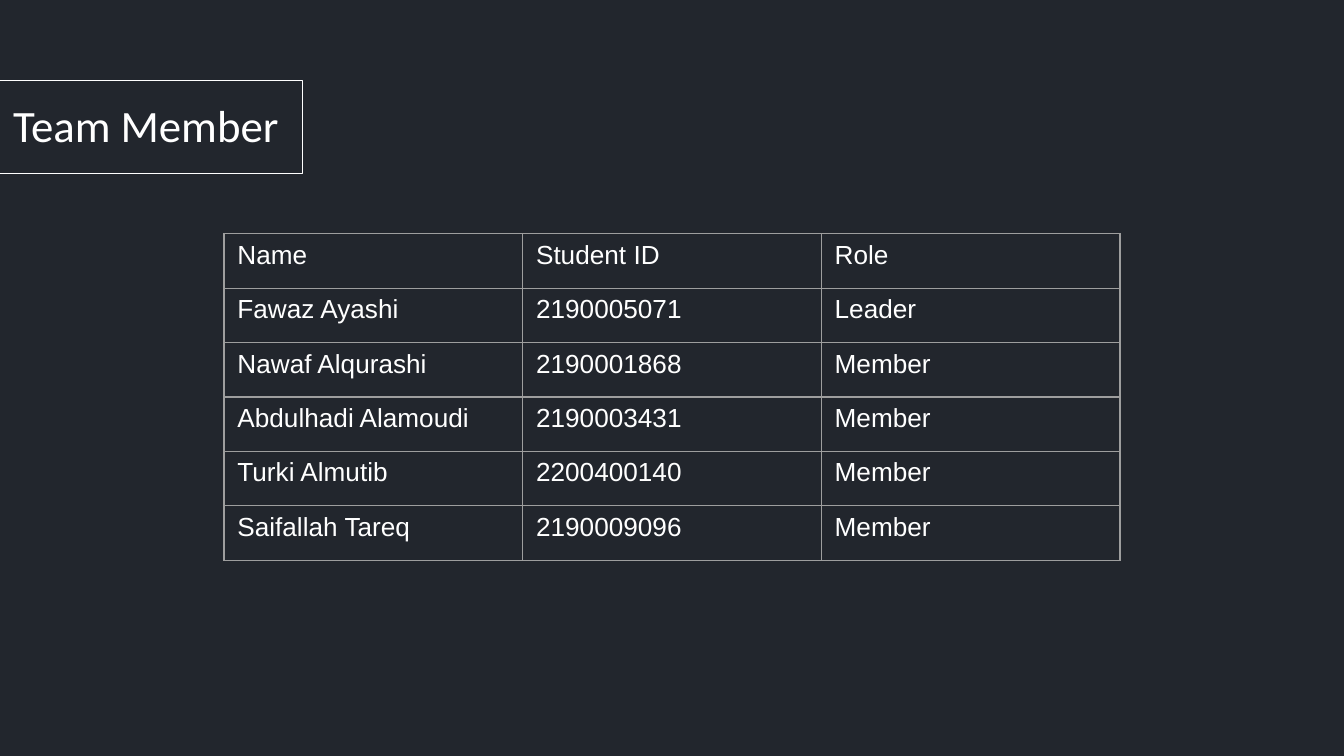
"""Build the Team Member slide with its title box and student table."""
from pptx import Presentation
from pptx.dml.color import RGBColor
from pptx.enum.shapes import MSO_SHAPE
from pptx.enum.text import MSO_ANCHOR
from pptx.oxml import parse_xml
from pptx.oxml.ns import nsdecls
from pptx.util import Inches, Pt


def rgb(color):
    return RGBColor.from_string(color)


def add_run(p, text, font, size):
    r = p.add_run()
    r.text = text
    r.font.name = font
    r.font.size = Pt(size)
    r.font.bold = False
    r.font.color.rgb = rgb("FFFFFF")


prs = Presentation()
prs.slide_width = Inches(10)
prs.slide_height = Inches(10 * 9 / 16)
s = prs.slides.add_slide(prs.slide_layouts[6])
s.background.fill.solid()
s.background.fill.fore_color.rgb = rgb("22262D")

sp = s.shapes.add_shape(MSO_SHAPE.RECTANGLE, Inches(-0.1), Inches(0.6), Inches(2.35), Inches(0.69))
sp.shadow.inherit = False
sp.fill.background()
sp.line.color.rgb = rgb("FFFFFF")
sp.line.width = Pt(0.75)

title = s.shapes.add_textbox(Inches(0), Inches(0.41), Inches(2.25), Inches(1.03))
tf = title.text_frame
tf.word_wrap = True
tf.vertical_anchor = MSO_ANCHOR.MIDDLE
tf.margin_left = tf.margin_right = tf.margin_top = tf.margin_bottom = Inches(0.1)
add_run(tf.paragraphs[0], "Team Member", "Calibri", 24)

rows = [
    ("Name", "Student ID", "Role"),
    ("Fawaz Ayashi", "2190005071", "Leader"),
    ("Nawaf Alqurashi", "2190001868", "Member"),
    ("Abdulhadi Alamoudi", "2190003431", "Member"),
    ("Turki Almutib", "2200400140", "Member"),
    ("Saifallah Tareq", "2190009096", "Member"),
]
width, height = Inches(20 / 3), Inches(2.43)
left = (prs.slide_width - width) // 2
frame = s.shapes.add_table(len(rows), 3, left, Inches(1.74), width, height)
table = frame.table
table.first_row = False
table.horz_banding = False
for i, row in enumerate(rows):
    for j, text in enumerate(row):
        cell = table.cell(i, j)
        add_run(cell.text_frame.paragraphs[0], text, "Arial", 14)
        tcPr = cell._tc.get_or_add_tcPr()
        for side in ("lnL", "lnR", "lnT", "lnB"):
            tcPr.append(parse_xml(
                f'<a:{side} {nsdecls("a")} w="{Pt(0.75)}"><a:solidFill>'
                f'<a:srgbClr val="9E9E9E"/></a:solidFill></a:{side}>'))
        cell.fill.background()

prs.save("out.pptx")
